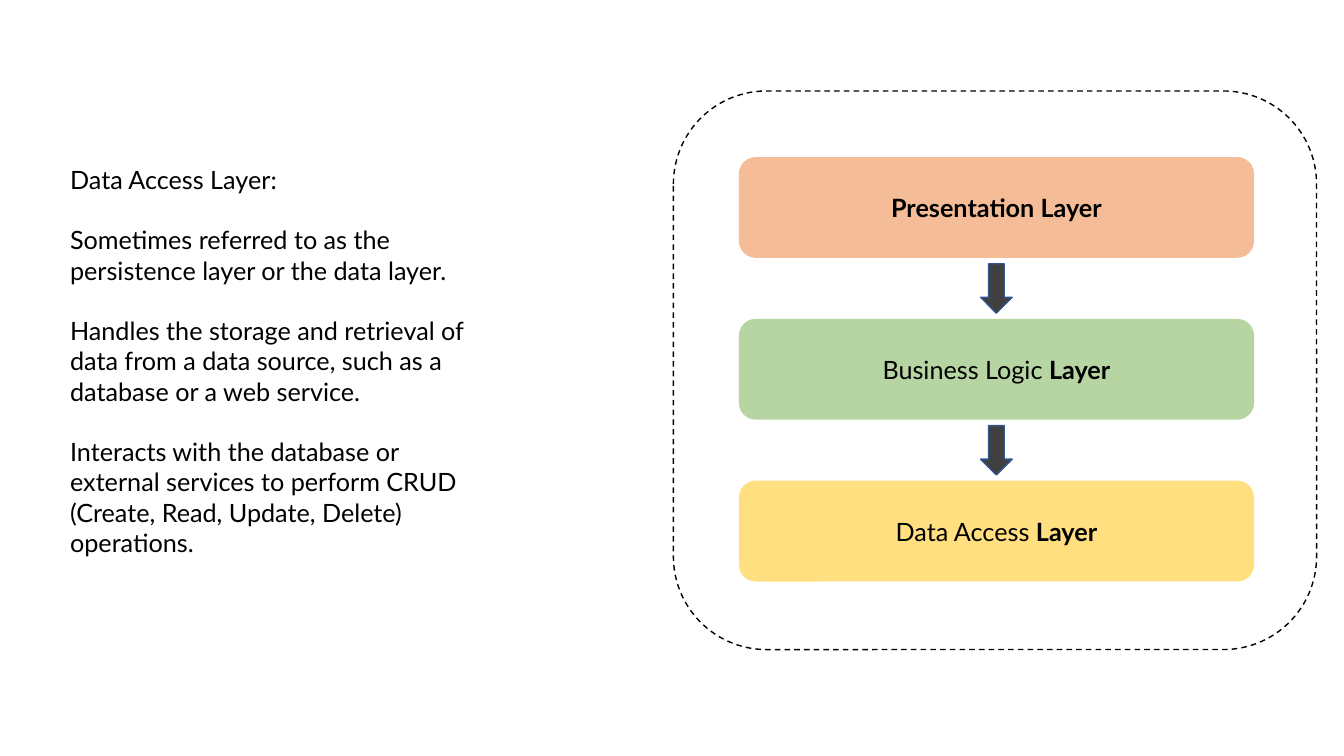
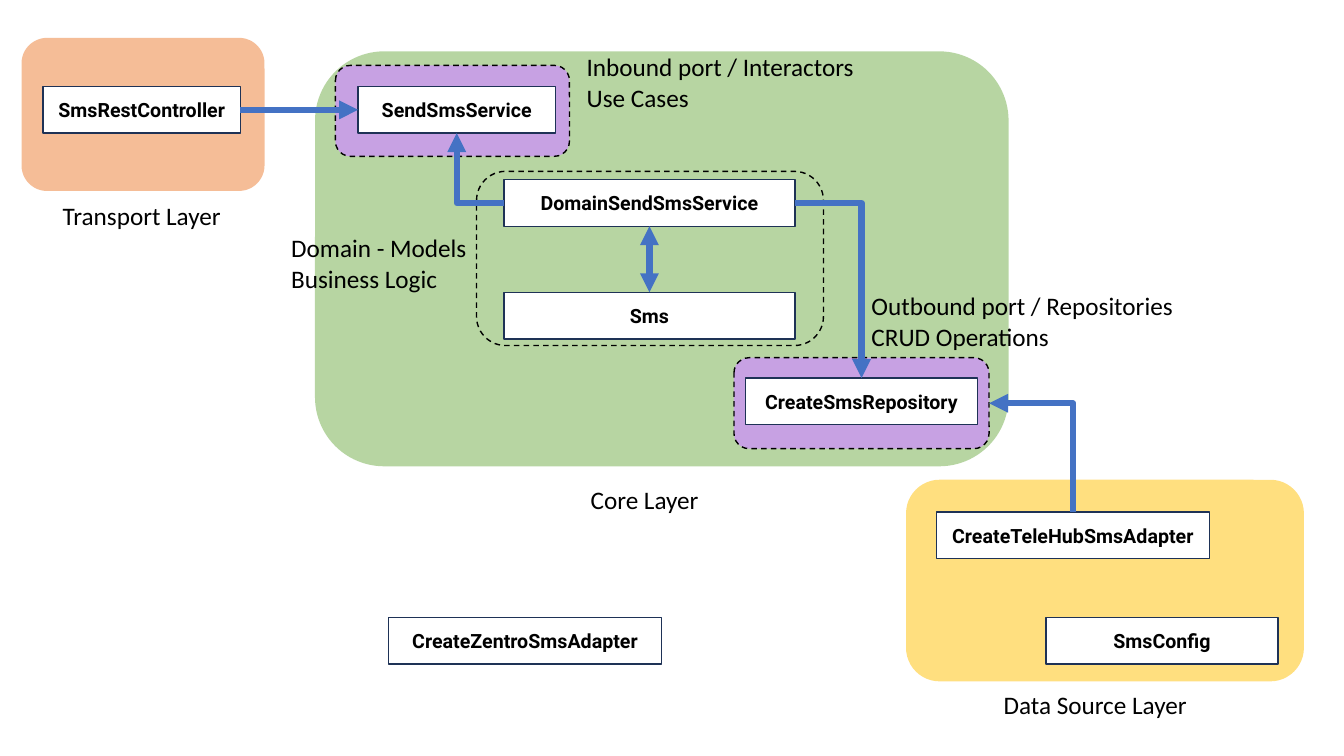
import pptx
import pptx.util
import pptx.dml.color
import pptx.enum.dml
import pptx.enum.shapes
import pptx.enum.text
import pptx.oxml
import pptx.oxml.ns
from lxml import etree

Pt = pptx.util.Pt
Shape = pptx.enum.shapes.MSO_SHAPE
Join = pptx.enum.shapes.MSO_CONNECTOR
Text = pptx.enum.text
qn = pptx.oxml.ns.qn

TOP, LEFT, BOTTOM, RIGHT = range(4)
ORANGE, GREEN, YELLOW = "ED7D31", "70AD47", "FFC000"
BLACK, WHITE, PURPLE = "000000", "FFFFFF", "C7A1E3"
NAVY, BLUE, GREY, EDGE = "1E3256", "4472C4", "404040", "325491"


def paint(color, code):
    color.rgb = pptx.dml.color.RGBColor.from_string(code)


def apply(item, style):
    for name, value in style.items():
        setattr(item, name, value)


def side(shape, spot):
    """Middle point of one side of a shape."""
    x = {LEFT: 0, RIGHT: shape.width}.get(spot, shape.width // 2)
    y = {TOP: 0, BOTTOM: shape.height}.get(spot, shape.height // 2)
    return shape.left + x, shape.top + y


class Deck:
    BODY = {"name": "Lato", "size": Pt(18)}
    LABEL = {"name": "Calibri", "size": Pt(18)}
    CODE = {"name": "Roboto", "size": Pt(14)}
    MIDDLE = {"word_wrap": True, "vertical_anchor": Text.MSO_ANCHOR.MIDDLE}
    GROW = {"word_wrap": True, "auto_size": Text.MSO_AUTO_SIZE.SHAPE_TO_FIT_TEXT}
    DASH = {"width": Pt(1), "dash_style": pptx.enum.dml.MSO_LINE.DASH}

    def __init__(self):
        self.prs = pptx.Presentation()
        apply(self.prs, {"slide_width": Pt(960), "slide_height": Pt(540)})

    def page(self):
        self.slide = self.prs.slides.add_slide(self.prs.slide_layouts[6])

    def letter(self, shape, lines, font, frame, align, gap=0):
        """Fill a shape with lines; what follows a bar is bold."""
        body = shape.text_frame
        apply(body, frame)
        for i, line in enumerate(lines):
            para = body.paragraphs[0] if i == 0 else body.add_paragraph()
            apply(para, {"alignment": align, "space_before": Pt(gap if i else 0)})
            plain, _, strong = line.partition("|")
            for words, bold in ((plain, False), (strong, True)):
                if words:
                    run = para.add_run()
                    run.text = words
                    apply(run.font, {**font, "bold": bold})
                    paint(run.font.color, BLACK)

    def shape(self, kind, at, fill=None, line=None, pen=None):
        item = self.slide.shapes.add_shape(kind, *map(Pt, at))
        item.shadow.inherit = False
        if fill:
            item.fill.solid()
            paint(item.fill.fore_color, fill)
        else:
            item.fill.background()
        if line:
            paint(item.line.color, line)
            apply(item.line, pen or {"width": Pt(1)})
        else:
            item.line.fill.background()
        return item

    def layer(self, at, fill, words=None):
        item = self.shape(Shape.ROUNDED_RECTANGLE, at, fill)
        tint = item._element.spPr.find(qn("a:solidFill")).find(qn("a:srgbClr"))
        etree.SubElement(tint, qn("a:alpha")).set("val", "50000")
        if words:
            self.letter(item, [words], self.BODY, self.MIDDLE, Text.PP_ALIGN.CENTER)

    def frame(self, at, fill=None):
        return self.shape(Shape.ROUNDED_RECTANGLE, at, fill, BLACK, self.DASH)

    def box(self, x, y, wide, name):
        item = self.shape(Shape.RECTANGLE, (x, y, wide, 33.3), WHITE, NAVY)
        self.letter(item, ["|" + name], self.CODE, self.MIDDLE, Text.PP_ALIGN.CENTER)
        return item

    def note(self, at, lines, font=LABEL, gap=0):
        item = self.slide.shapes.add_textbox(*map(Pt, at))
        self.letter(item, lines, font, self.GROW, Text.PP_ALIGN.LEFT, gap)

    def link(self, start, out, end, into, heads=("tailEnd",), bent=False):
        kind = Join.ELBOW if bent else Join.STRAIGHT
        item = self.slide.shapes.add_connector(kind, *side(start, out), *side(end, into))
        item.begin_connect(start, out)
        item.end_connect(end, into)
        paint(item.line.color, BLUE)
        item.line.width = Pt(4.5)
        props = item._element.spPr
        if bent:
            props.find(qn("a:prstGeom")).set("prst", "bentConnector2")
        for head in heads:
            etree.SubElement(props.find(qn("a:ln")), qn("a:" + head)).set("type", "triangle")
        etree.SubElement(props, qn("a:effectLst"))


def layers(deck):
    deck.page()
    deck.frame((481, 65, 459.4, 399), WHITE)
    # Stack of layers, with an arrow in each gap
    step = 115.6
    stack = [("|Presentation Layer", ORANGE), ("Business Logic |Layer", GREEN),
             ("Data Access |Layer", YELLOW)]
    for i, (words, fill) in enumerate(stack):
        deck.layer((527.8, 112.2 + i * step, 368, 72), fill, words)
    for i in range(len(stack) - 1):
        deck.shape(Shape.DOWN_ARROW, (700.4, 188.4 + i * step, 22.6, 35.3), GREY, EDGE)
    # Explanation
    deck.note((43, 113.8, 312.5, 291), [
        "Data Access Layer:",
        "Sometimes referred to as the persistence layer or the data layer.",
        "Handles the storage and retrieval of data from a data source, "
        "such as a database or a web service.",
        "Interacts with the database or external services to perform CRUD "
        "(Create, Read, Update, Delete) operations.",
    ], deck.BODY, 21.6)


def ports(deck):
    deck.page()
    # Layers
    deck.layer((15.4, 27, 173.6, 109.4), ORANGE)
    deck.layer((225, 36.7, 495.4, 296.4), GREEN)
    deck.layer((647.2, 342.7, 284.2, 144), YELLOW)
    # Ports and domain
    deck.frame((239.6, 46.7, 167.2, 65), PURPLE)
    deck.frame((340.4, 122.4, 247.8, 124.4))
    port = deck.frame((524.3, 255.5, 182.2, 65), PURPLE)
    # Classes
    rest = deck.box(30.8, 61.8, 141, "SmsRestController")
    send = deck.box(255.8, 61.8, 141, "SendSmsService")
    domain = deck.box(360, 128.3, 207.8, "DomainSendSmsService")
    sms = deck.box(360, 208.8, 207.8, "Sms")
    repo = deck.box(532.6, 270, 165.6, "CreateSmsRepository")
    adapt = deck.box(668.9, 365.8, 195, "CreateTeleHubSmsAdapter")
    deck.box(747.3, 441, 165.6, "SmsConfig")
    deck.box(277.6, 441, 195, "CreateZentroSmsAdapter")
    # Labels
    for at, lines in [
        ((37.7, 139.2, 129.6, 29), ["Transport Layer"]),
        ((414.8, 342.7, 98.4, 29), ["Core Layer"]),
        ((709.8, 489, 158, 29), ["Data Source Layer"]),
        ((412, 33.4, 215.4, 51), ["Inbound port / Interactors", "Use Cases"]),
        ((615.4, 204, 237, 51), ["Outbound port / Repositories", "CRUD Operations"]),
        ((200.9, 162.7, 215.4, 51), ["Domain - Models", "Business Logic"]),
    ]:
        deck.note(at, lines)
    # Links
    deck.link(domain, LEFT, send, BOTTOM, bent=True)
    deck.link(rest, RIGHT, send, LEFT)
    deck.link(domain, RIGHT, repo, TOP, bent=True)
    deck.link(port, RIGHT, adapt, TOP, ("headEnd",), bent=True)
    deck.link(domain, BOTTOM, sms, TOP, ("headEnd", "tailEnd"))


def main():
    deck = Deck()
    layers(deck)
    ports(deck)
    deck.prs.save("out.pptx")


if __name__ == "__main__":
    main()
